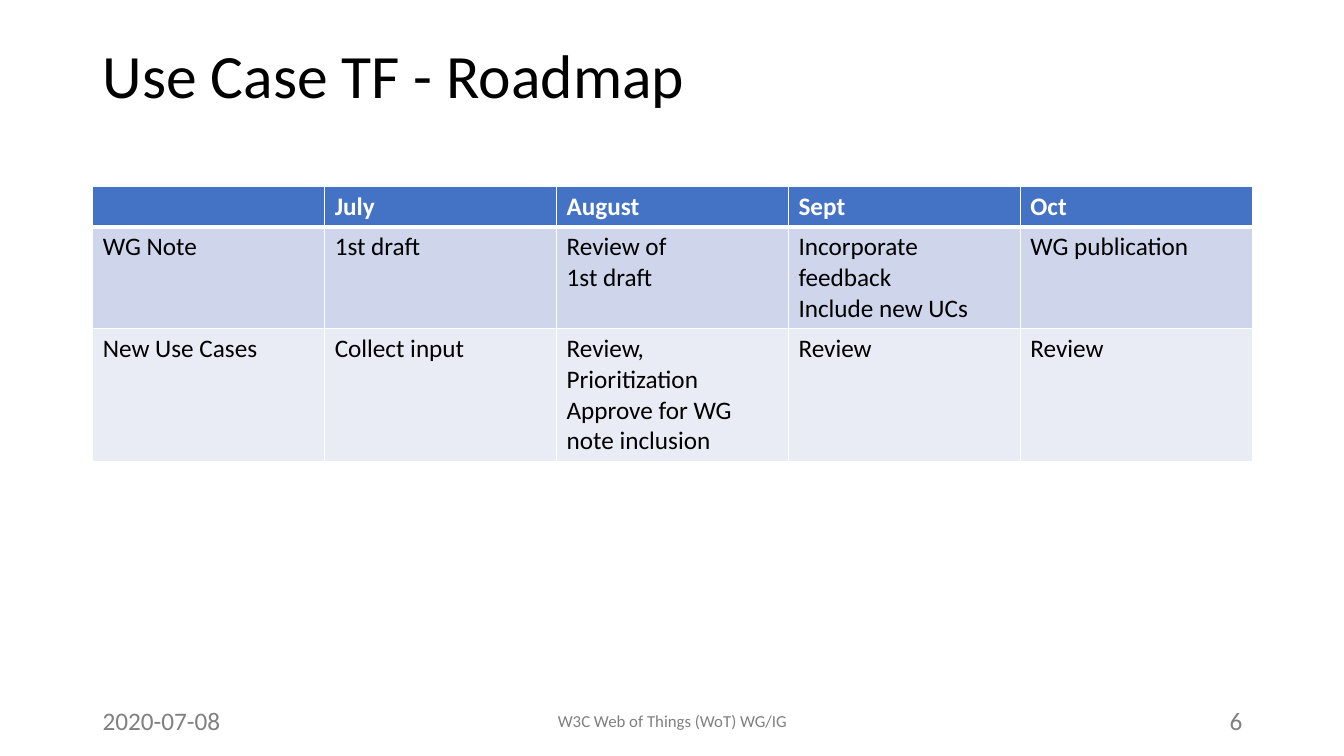
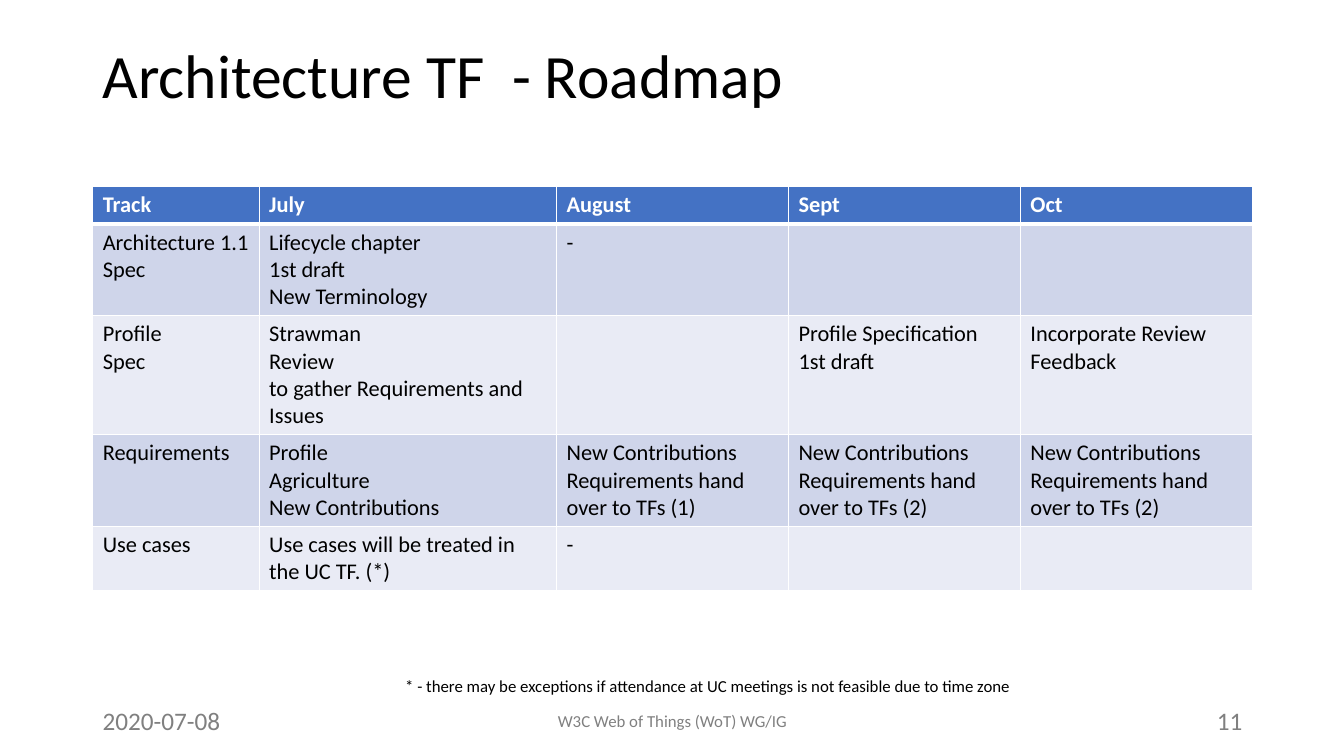
from dataclasses import dataclass

from lxml import etree
from pptx import Presentation
from pptx.dml.color import RGBColor
from pptx.enum.text import MSO_ANCHOR, PP_ALIGN
from pptx.oxml.ns import qn
from pptx.slide import Slide
from pptx.table import _Cell
from pptx.text.text import TextFrame
from pptx.util import Inches, Pt

LEFT, CENTER, RIGHT = PP_ALIGN.LEFT, PP_ALIGN.CENTER, PP_ALIGN.RIGHT
TOP, MIDDLE = MSO_ANCHOR.TOP, MSO_ANCHOR.MIDDLE

BLACK = RGBColor(0x00, 0x00, 0x00)
WHITE = RGBColor(0xFF, 0xFF, 0xFF)
GRAY = RGBColor(0x80, 0x80, 0x80)
HEADER_BLUE = RGBColor(0x44, 0x72, 0xC4)
BAND_FILLS = (RGBColor(0xCF, 0xD5, 0xEA), RGBColor(0xE9, 0xEB, 0xF5))

FONT_NAME = "Calibri"
MARGIN = 0.92
CONTENT_WIDTH = 11.5
TABLE_TOP = 1.85
THIN, THICK = 1, 3


@dataclass(frozen=True)
class TextStyle:
    size: int
    color: RGBColor
    bold: bool = False
    align: PP_ALIGN = LEFT
    anchor: MSO_ANCHOR = TOP
    line_spacing: float = 1.0
    wrap: bool = True


@dataclass(frozen=True)
class Box:
    left: float
    top: float
    width: float
    height: float


@dataclass(frozen=True)
class Roadmap:
    title: str
    number: int
    text_size: int
    column_widths: tuple[float, ...]
    row_heights: tuple[float, ...]
    rows: tuple[tuple[str, ...], ...]
    footnote: str = ""


TITLE_STYLE = TextStyle(44, BLACK, line_spacing=0.9)
DATE_STYLE = TextStyle(18, GRAY)
FOOTER_STYLE = TextStyle(12, GRAY, align=CENTER, anchor=MIDDLE)
NUMBER_STYLE = TextStyle(18, GRAY, align=RIGHT)
FOOTNOTE_STYLE = TextStyle(12, BLACK, wrap=False)

TITLE_BOX = Box(MARGIN, 0.4, CONTENT_WIDTH, 1.45)
DATE_BOX = Box(MARGIN, 6.95, 3, 0.4)
FOOTER_BOX = Box(4.42, 6.95, 4.5, 0.4)
NUMBER_BOX = Box(9.42, 6.95, 3, 0.4)
FOOTNOTE_BOX = Box(3.92, 6.65, 6.28, 0.3)

ROADMAPS = (
    Roadmap(
        title="Use Case TF - Roadmap",
        number=6,
        text_size=18,
        column_widths=(2.3,) * 5,
        row_heights=(0.4, 1.01, 1.32),
        rows=(
            ("", "July", "August", "Sept", "Oct"),
            ("WG Note", "1st draft", "Review of\n1st draft",
             "Incorporate feedback\nInclude new UCs", "WG publication"),
            ("New Use Cases", "Collect input",
             "Review, Prioritization\nApprove for WG note inclusion",
             "Review", "Review"),
        ),
    ),
    Roadmap(
        title="Architecture TF  - Roadmap",
        number=11,
        text_size=16,
        column_widths=(1.65, 2.95, 2.3, 2.3, 2.3),
        row_heights=(0.37, 0.91, 1.18, 0.91, 0.64),
        rows=(
            ("Track", "July", "August", "Sept", "Oct"),
            ("Architecture 1.1 Spec",
             "Lifecycle chapter\n1st draft\nNew Terminology", "-", "", ""),
            ("Profile\nSpec",
             "Strawman\nReview\nto gather Requirements and\nIssues", "",
             "Profile Specification\n1st draft",
             "Incorporate Review Feedback"),
            ("Requirements", "Profile\nAgriculture\nNew Contributions",
             *(f"New Contributions\nRequirements hand over to TFs ({phase})"
               for phase in (1, 2, 2))),
            ("Use cases", "Use cases will be treated in the UC TF. (*)",
             "-", "", ""),
        ),
        footnote="* - there may be exceptions if attendance at UC meetings "
                 "is not feasible due to time zone",
    ),
)


def write_text(frame: TextFrame, text: str, style: TextStyle) -> None:
    frame.text = text
    font_format = {"name": FONT_NAME, "size": Pt(style.size), "bold": style.bold}
    for paragraph in frame.paragraphs:
        paragraph.alignment = style.align
        paragraph.line_spacing = style.line_spacing
        for run in paragraph.runs:
            for attribute, value in font_format.items():
                setattr(run.font, attribute, value)
            run.font.color.rgb = style.color


def add_text(slide: Slide, box: Box, text: str, style: TextStyle) -> None:
    shape = slide.shapes.add_textbox(
        Inches(box.left), Inches(box.top), Inches(box.width), Inches(box.height))
    frame = shape.text_frame
    frame.word_wrap = style.wrap
    frame.vertical_anchor = style.anchor
    write_text(frame, text, style)


def set_borders(cell: _Cell, top: int, bottom: int) -> None:
    """Draw white cell borders; call before filling, as the schema orders them."""
    properties = cell._tc.get_or_add_tcPr()
    widths = {"a:lnL": THIN, "a:lnR": THIN, "a:lnT": top, "a:lnB": bottom}
    for tag, width in widths.items():
        line = etree.SubElement(properties, qn(tag), w=str(Pt(width)))
        fill = etree.SubElement(line, qn("a:solidFill"))
        etree.SubElement(fill, qn("a:srgbClr"), val=str(WHITE))


def add_roadmap_table(slide: Slide, roadmap: Roadmap) -> None:
    table = slide.shapes.add_table(
        len(roadmap.rows), len(roadmap.column_widths),
        Inches(MARGIN), Inches(TABLE_TOP),
        Inches(CONTENT_WIDTH), Inches(sum(roadmap.row_heights))).table
    for column, width in zip(table.columns, roadmap.column_widths):
        column.width = Inches(width)
    for row, height in zip(table.rows, roadmap.row_heights):
        row.height = Inches(height)

    header_style = TextStyle(roadmap.text_size, WHITE, bold=True)
    body_style = TextStyle(roadmap.text_size, BLACK)
    for row_index, texts in enumerate(roadmap.rows):
        is_header = row_index == 0
        fill_color = HEADER_BLUE if is_header else BAND_FILLS[(row_index - 1) % 2]
        for column_index, text in enumerate(texts):
            cell = table.cell(row_index, column_index)
            set_borders(cell, top=THICK if row_index == 1 else THIN,
                        bottom=THICK if is_header else THIN)
            cell.fill.solid()
            cell.fill.fore_color.rgb = fill_color
            write_text(cell.text_frame, text,
                       header_style if is_header else body_style)


def add_roadmap_slide(presentation: Presentation, roadmap: Roadmap) -> None:
    slide = presentation.slides.add_slide(presentation.slide_layouts[6])
    add_text(slide, TITLE_BOX, roadmap.title, TITLE_STYLE)
    add_text(slide, FOOTER_BOX, "W3C Web of Things (WoT) WG/IG", FOOTER_STYLE)
    add_text(slide, NUMBER_BOX, str(roadmap.number), NUMBER_STYLE)
    add_text(slide, DATE_BOX, "2020-07-08", DATE_STYLE)
    add_roadmap_table(slide, roadmap)
    if roadmap.footnote:
        add_text(slide, FOOTNOTE_BOX, roadmap.footnote, FOOTNOTE_STYLE)


def main() -> None:
    presentation = Presentation()
    presentation.slide_width = Inches(13.33)
    presentation.slide_height = Inches(7.5)
    for roadmap in ROADMAPS:
        add_roadmap_slide(presentation, roadmap)
    presentation.save("out.pptx")


if __name__ == "__main__":
    main()
